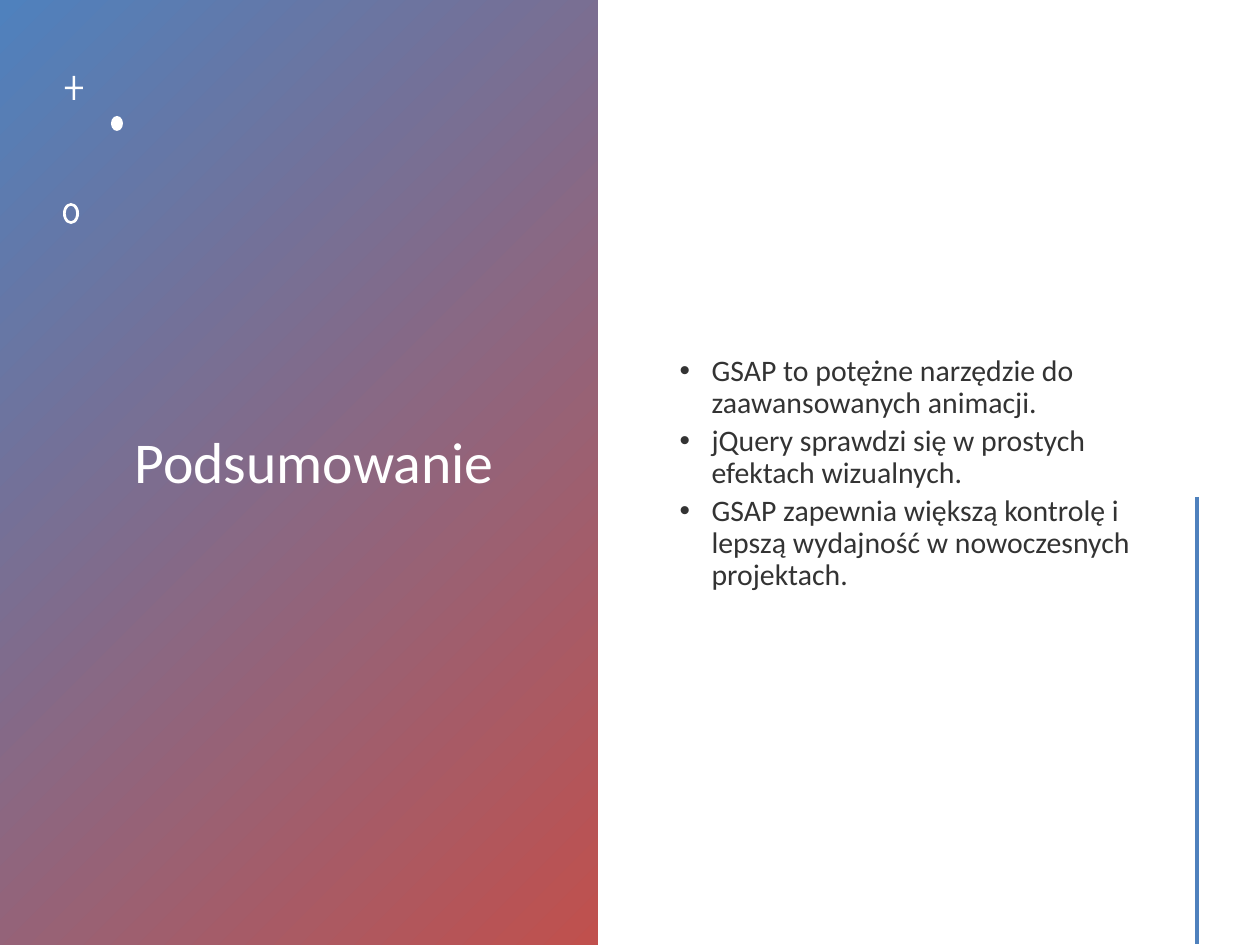
from pptx import Presentation
from pptx import util as u
from pptx.dml.color import RGBColor
from pptx.enum import shapes, text
from pptx.oxml.ns import qn
from lxml import etree

PX_PER_INCH = 126
COLORS = {"blue": "4F81BD", "red": "C0504D", "white": "FFFFFF", "ink": "333333"}


def px(n):
    return u.Emu(round(n * 914400 / PX_PER_INCH))


def rgb(name):
    return RGBColor.from_string(COLORS[name])


class SlideBuilder:
    font = "Calibri"

    def __init__(self, slide):
        self.s = slide

    def shape(self, kind, x, y, w, h, color="white"):
        sp = self.s.shapes.add_shape(kind, px(x), px(y), px(w), px(h))
        return self.paint(sp, color)

    def paint(self, sp, color):
        sp.shadow.inherit = False
        sp.fill.solid()
        sp.fill.fore_color.rgb = rgb(color)
        sp.line.fill.background()
        return sp

    def gradient_panel(self, x, y, w, h, start, end):
        sp = self.shape(shapes.MSO_SHAPE.RECTANGLE, x, y, w, h)
        sp.fill.gradient()
        sp.fill.gradient_angle = 315  # top left to bottom right
        for stop, color, pos in zip(sp.fill.gradient_stops, (start, end), (0, 1)):
            stop.color.rgb = rgb(color)
            stop.position = pos
        # Keep the panel behind the placeholders
        self.s.shapes.title._element.addprevious(sp._element)

    def plus(self, cx, cy, half_w, half_h, t):
        corners = [(-t, -half_h), (t, -half_h), (t, -t), (half_w, -t),
                   (half_w, t), (t, t), (t, half_h), (-t, half_h),
                   (-t, t), (-half_w, t), (-half_w, -t), (-t, -t)]
        pts = [(px(cx + dx), px(cy + dy)) for dx, dy in corners]
        fb = self.s.shapes.build_freeform(*pts[0])
        fb.add_line_segments(pts[1:])
        self.paint(fb.convert_to_shape(), "white")

    def line(self, x1, y1, x2, y2, color, width):
        c = self.s.shapes.add_connector(
            shapes.MSO_CONNECTOR.STRAIGHT, px(x1), px(y1), px(x2), px(y2))
        c.line.color.rgb = rgb(color)
        c.line.width = u.Pt(width)
        etree.SubElement(c._element.spPr, qn("a:effectLst"))

    def placeholder(self, sp, x, y, w, h, lines, size, color):
        sp.left, sp.top, sp.width, sp.height = px(x), px(y), px(w), px(h)
        tf = sp.text_frame
        tf.text = "\n".join(lines)
        tf.word_wrap = True
        tf.auto_size = text.MSO_AUTO_SIZE.NONE
        tf.vertical_anchor = text.MSO_ANCHOR.MIDDLE
        for p in tf.paragraphs:
            p.alignment = text.PP_ALIGN.LEFT
            p.line_spacing = 0.9
            for r in p.runs:
                r.font.name = self.font
                r.font.size = u.Pt(size)
                r.font.color.rgb = rgb(color)
        return tf

    def title(self, x, y, w, h, line, size, color):
        self.placeholder(self.s.shapes.title, x, y, w, h, [line], size, color)

    def bullets(self, x, y, w, h, lines, size, color):
        body = self.s.placeholders[1]
        tf = self.placeholder(body, x, y, w, h, lines, size, color)
        for p in tf.paragraphs:
            pPr = p._p.get_or_add_pPr()
            pPr.set("marL", str(px(48)))
            pPr.set("indent", str(-px(32)))


def main():
    prs = Presentation()
    prs.slide_width, prs.slide_height = u.Inches(10), u.Inches(7.5)
    b = SlideBuilder(prs.slides.add_slide(prs.slide_layouts[1]))

    # Left panel with the title
    b.gradient_panel(0, 0, 598, 945, "blue", "red")
    b.title(122, 53, 415, 823, "Podsumowanie", 33, "white")

    # Small ornaments: plus, dot, ring
    b.plus(74, 88, 9, 12, 1.25)
    b.shape(shapes.MSO_SHAPE.OVAL, 111, 116, 12, 15)
    ring = b.shape(shapes.MSO_SHAPE.DONUT, 63, 203, 16, 21)
    ring.adjustments[0] = 0.17

    # Summary points
    b.bullets(651, 72, 493, 804, [
        "GSAP to potężne narzędzie do zaawansowanych animacji.",
        "jQuery sprawdzi się w prostych efektach wizualnych.",
        "GSAP zapewnia większą kontrolę i lepszą wydajność w nowoczesnych projektach.",
    ], 17, "ink")

    # Accent line on the right
    b.line(1197, 497, 1197, 944, "blue", 2)

    prs.save("out.pptx")


if __name__ == "__main__":
    main()
